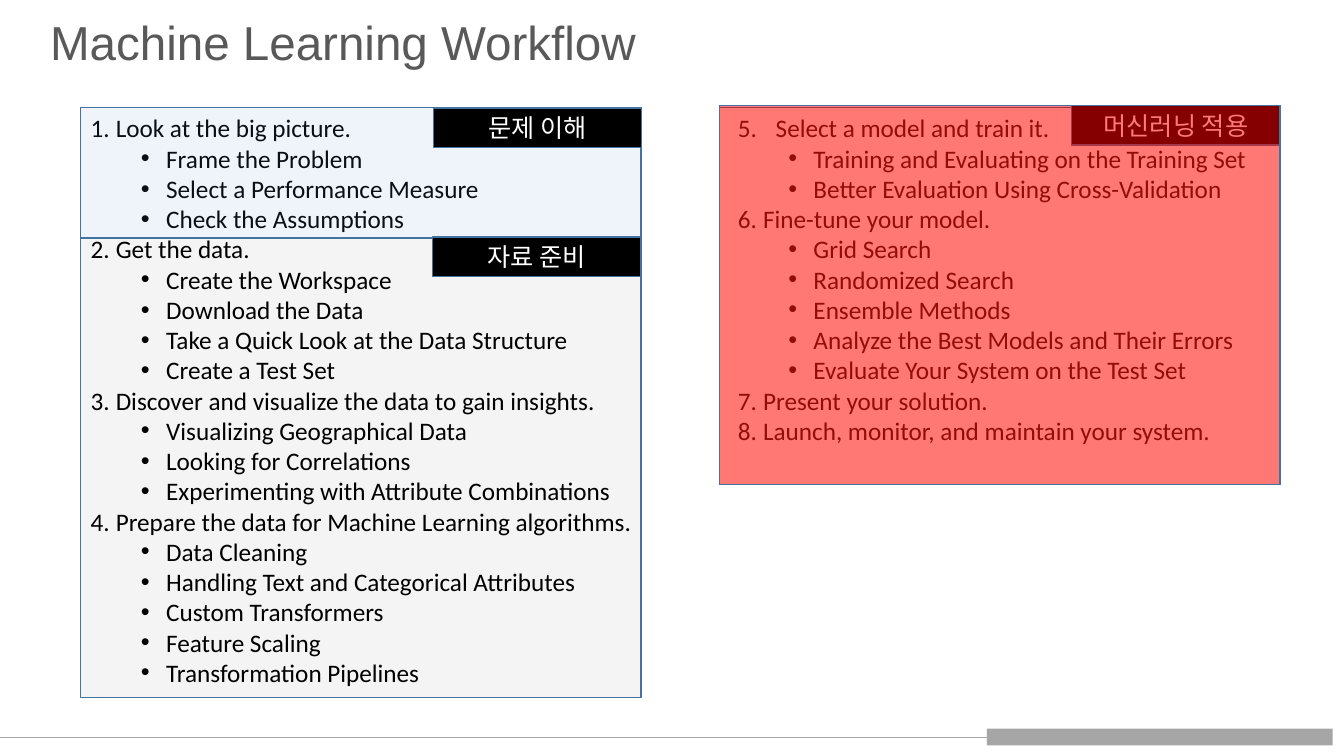
"""Build the Machine Learning Workflow slide."""
from dataclasses import dataclass

from lxml.etree import SubElement
from pptx import Presentation
from pptx.dml.color import RGBColor
from pptx.enum.shapes import MSO_CONNECTOR as Connector, MSO_SHAPE as Shape
from pptx.enum.text import MSO_ANCHOR as Anchor, MSO_AUTO_SIZE as AutoSize, PP_ALIGN as Align
from pptx.oxml.ns import qn
from pptx.util import Pt


@dataclass(frozen=True)
class Theme:
    heading_font: str = "Arial"
    body_font: str = "Calibri"
    title_size: int = 34
    body_size: int = 18
    grey: str = "595959"
    rule: str = "A6A6A6"
    outline: str = "43739E"
    black: str = "000000"
    white: str = "FFFFFF"
    problem: str = "5B9BD5"
    data: str = "C9C9C9"
    model: str = "FFE699"
    highlight: str = "FF0000"


THEME = Theme()
LEFT_COLUMN, RIGHT_COLUMN, COLUMN_WIDTH = 57.6, 514.1, 400.3
LIST_WIDTH, LIST_TOP = 480, 77
TAG_WIDTH, TAG_HEIGHT = 149, 28

PREPARATION_STEPS = [
    ("Look at the big picture.",
     ["Frame the Problem", "Select a Performance Measure", "Check the Assumptions"]),
    ("Get the data.",
     ["Create the Workspace", "Download the Data",
      "Take a Quick Look at the Data Structure", "Create a Test Set"]),
    ("Discover and visualize the data to gain insights.",
     ["Visualizing Geographical Data", "Looking for Correlations",
      "Experimenting with Attribute Combinations"]),
    ("Prepare the data for Machine Learning algorithms.",
     ["Data Cleaning", "Handling Text and Categorical Attributes",
      "Custom Transformers", "Feature Scaling", "Transformation Pipelines"]),
]
MODEL_STEPS = [
    ("Select a model and train it.",
     ["Training and Evaluating on the Training Set",
      "Better Evaluation Using Cross-Validation"]),
    ("Fine-tune your model.",
     ["Grid Search", "Randomized Search", "Ensemble Methods",
      "Analyze the Best Models and Their Errors",
      "Evaluate Your System on the Test Set"]),
    ("Present your solution.", []),
    ("Launch, monitor, and maintain your system.", []),
]


def add_span(para, text, color, size=THEME.body_size, font=THEME.body_font):
    """Append a formatted run to a paragraph."""
    span = para.add_run()
    span.text = text
    for name, value in {"size": Pt(size), "name": font}.items():
        setattr(span.font, name, value)
    span.font.color.rgb = RGBColor.from_string(color)


def add_text_box(page, left, top, width, height, **frame_format):
    """Add an empty text box and return its frame."""
    frame = page.shapes.add_textbox(Pt(left), Pt(top), Pt(width), Pt(height)).text_frame
    for name, value in {"word_wrap": True, **frame_format}.items():
        setattr(frame, name, value)
    return frame


def add_box(page, left, top, width, height, fill, opacity=100, outline=THEME.outline):
    """Add a filled rectangle with optional transparency and outline."""
    box = page.shapes.add_shape(Shape.RECTANGLE, Pt(left), Pt(top), Pt(width), Pt(height))
    box.shadow.inherit = False
    box.fill.solid()
    box.fill.fore_color.rgb = RGBColor.from_string(fill)
    if opacity < 100:
        color = next(box.element.iter(qn("a:srgbClr")))
        SubElement(color, qn("a:alpha"), val=str(opacity * 1000))
    if outline:
        box.line.color.rgb = RGBColor.from_string(outline)
        box.line.width = Pt(1)
    else:
        box.line.fill.background()
    return box


def add_tag(page, right, top, text):
    """Add a black label ending at the given right edge."""
    box = add_box(page, right - TAG_WIDTH, top, TAG_WIDTH, TAG_HEIGHT, THEME.black)
    box.text_frame.vertical_anchor = Anchor.MIDDLE
    para = box.text_frame.paragraphs[0]
    para.alignment = Align.CENTER
    add_span(para, text, THEME.white)


def set_bullet(para, margin, hanging, start=None):
    """Give a paragraph a number from start, or a round bullet."""
    properties = para._p.get_or_add_pPr()
    properties.set("marL", str(Pt(margin)))
    properties.set("indent", str(-Pt(hanging)))
    if start:
        SubElement(properties, qn("a:buFont"), typeface="+mj-lt")
        SubElement(properties, qn("a:buAutoNum"), type="arabicPeriod", startAt=str(start))
    else:
        SubElement(properties, qn("a:buFont"), typeface="Arial")
        SubElement(properties, qn("a:buChar"), char="•")


def add_steps(page, left, height, steps, start=1, first_indent=18):
    """Add numbered steps with bulleted tasks below each."""
    frame = add_text_box(page, left, LIST_TOP, LIST_WIDTH, height,
                         auto_size=AutoSize.SHAPE_TO_FIT_TEXT)
    para = frame.paragraphs[0]
    for index, (step, tasks) in enumerate(steps):
        if index:
            para = frame.add_paragraph()
        indent = 18 if index else first_indent
        set_bullet(para, indent, indent, start)
        add_span(para, step, THEME.black)
        for task in tasks:
            para = frame.add_paragraph()
            para.level = 1
            set_bullet(para, 54, 18)
            add_span(para, task, THEME.black)


def add_title(page, text):
    """Add the slide title."""
    frame = add_text_box(page, 28.8, 0, 828, 64, vertical_anchor=Anchor.MIDDLE)
    para = frame.paragraphs[0]
    para.line_spacing = 0.9
    add_span(para, text, THEME.grey, THEME.title_size, THEME.heading_font)


def add_footer(page):
    """Add the footer rule ending at a plain bar."""
    bar = add_box(page, 705, 520.5, 247, 12, THEME.rule, outline=None)
    rule = page.shapes.add_connector(Connector.STRAIGHT, Pt(705), Pt(526.5), Pt(0), Pt(526.5))
    rule.begin_connect(bar, 1)
    rule.line.color.rgb = RGBColor.from_string(THEME.rule)
    rule.line.width = Pt(0.5)
    SubElement(rule.element.spPr, qn("a:effectLst"))


def main():
    """Build and save the slide."""
    deck = Presentation()
    deck.slide_width, deck.slide_height = Pt(960), Pt(540)
    page = deck.slides.add_slide(deck.slide_layouts[6])
    add_footer(page)
    add_box(page, LEFT_COLUMN, 170, COLUMN_WIDTH, 328.3, THEME.data, 19)
    add_title(page, "Machine Learning Workflow")
    add_steps(page, LEFT_COLUMN, 422, PREPARATION_STEPS)
    add_steps(page, 520, 269, MODEL_STEPS, start=5, first_indent=27)
    add_box(page, LEFT_COLUMN, LIST_TOP, COLUMN_WIDTH, 93, THEME.problem, 10)
    left_edge, right_edge = LEFT_COLUMN + COLUMN_WIDTH, RIGHT_COLUMN + COLUMN_WIDTH
    add_tag(page, left_edge + 0.6, 77.3, "문제 이해")
    add_tag(page, left_edge, 169.4, "자료 준비")
    add_box(page, RIGHT_COLUMN, LIST_TOP, COLUMN_WIDTH, 269.3, THEME.model, 12)
    add_tag(page, right_edge, 75.6, "머신러닝 적용")
    add_box(page, RIGHT_COLUMN, 75.6, COLUMN_WIDTH, 270.7, THEME.highlight, 52)
    deck.save("out.pptx")


if __name__ == "__main__":
    main()
